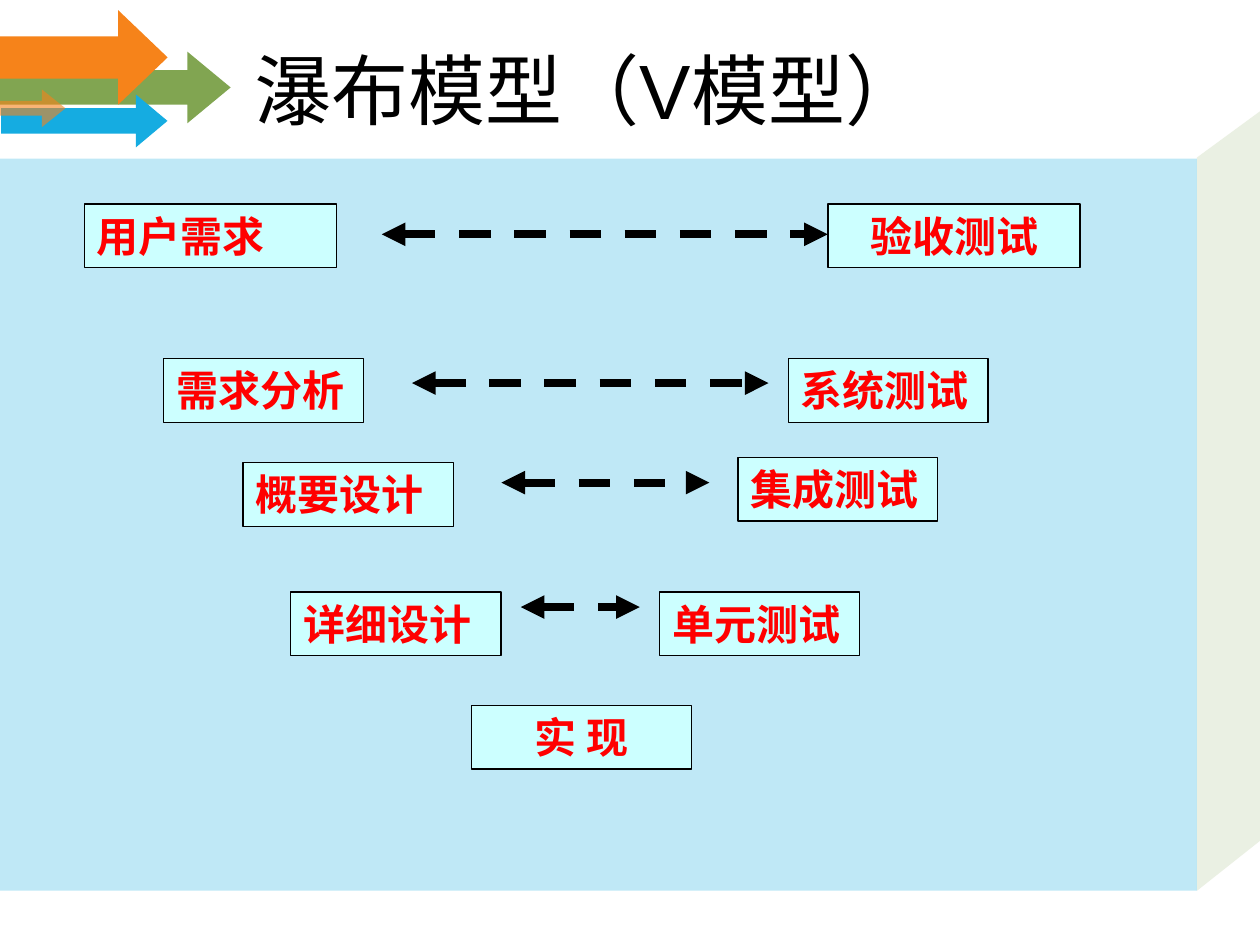
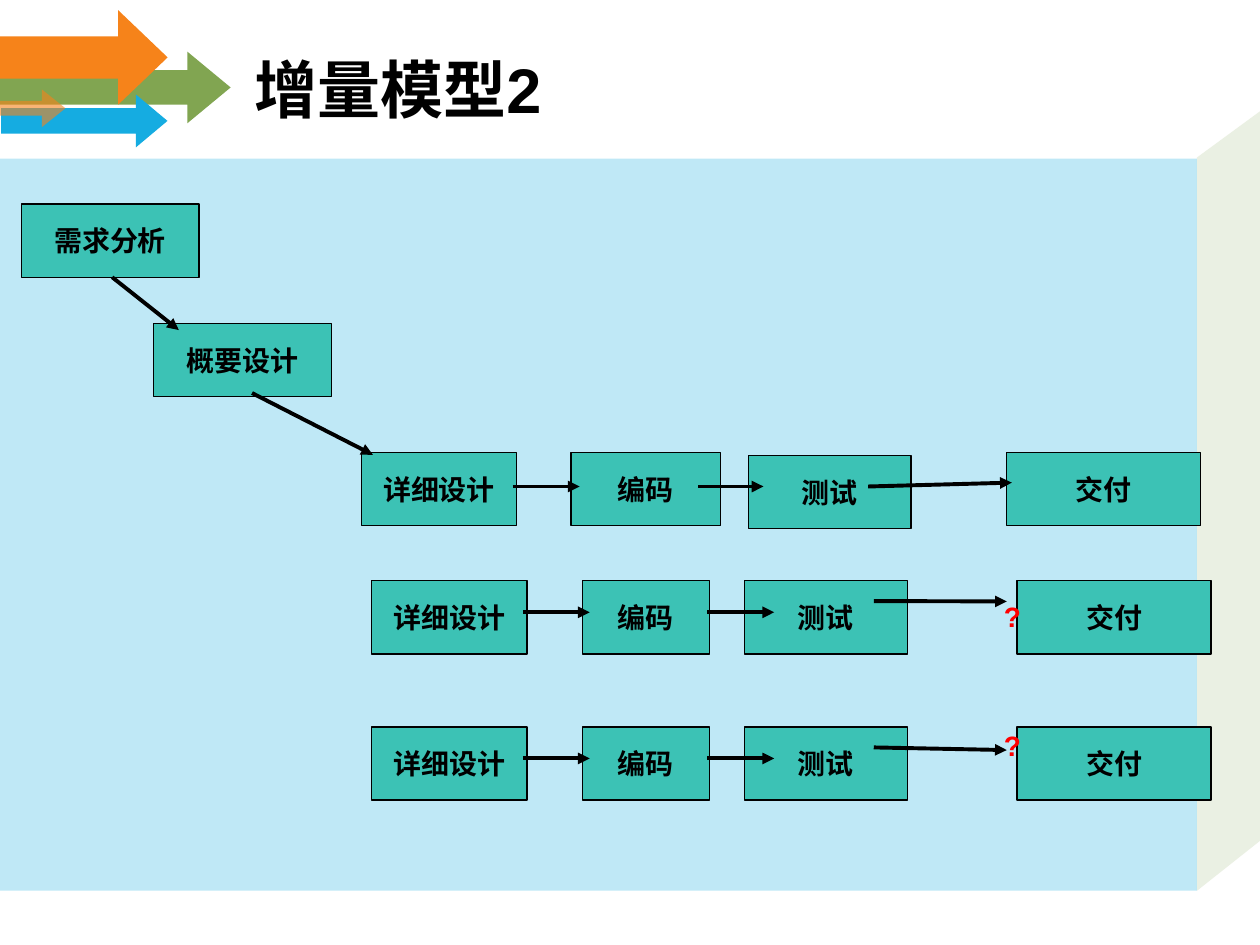
from pptx import Presentation
from pptx.dml.color import RGBColor
from pptx.enum.dml import MSO_LINE
from pptx.enum.shapes import MSO_CONNECTOR, MSO_SHAPE
from pptx.enum.text import MSO_ANCHOR, PP_ALIGN
from pptx.oxml.ns import qn
from pptx.util import Pt
from lxml.etree import SubElement

COLORS = {
    "black": "000000",
    "red": "FF0000",
    "green": "81A551",
    "orange": "F6831A",
    "blue": "15ACE1",
    "pale_cyan": "CCFFFF",
    "teal": "3CC2B5",
}

BAND = (0, 90.7, 684, 418.3)
BAND_SIDE = [(684, 90), (720, 63.6), (720, 480.5), (684, 509)]
CORNER_ARROWS = [
    ((0, 29.5, 131.8, 41), (0.479, 0.604), "green", 100),
    ((0, 5.8, 95.8, 54), (0.447, 0.523), "orange", 100),
    ((0.7, 54, 95, 30.2), (0.479, 0.597), "blue", 100),
    ((0, 51.1, 37.4, 21.6), (0.389, 0.624), "orange", 60),
]
TITLE_AREA = (138.2, 7.9, 540, 85)

V_TITLE = "瀑布模型（V模型）"
V_BOX_HEIGHT = 36.3
V_BOXES = [
    ("用户需求", 48.2, 116.6, 144, PP_ALIGN.LEFT),
    ("需求分析", 93.6, 205.0, 114, PP_ALIGN.LEFT),
    ("概要设计", 138.8, 264.4, 120.2, PP_ALIGN.LEFT),
    ("详细设计", 166.2, 338.3, 120.2, PP_ALIGN.LEFT),
    ("实 现", 269.3, 403.2, 126, PP_ALIGN.CENTER),
    ("单元测试", 377, 338.3, 114, PP_ALIGN.LEFT),
    ("集成测试", 421.8, 261.5, 114, PP_ALIGN.LEFT),
    ("系统测试", 450.6, 205.0, 114, PP_ALIGN.LEFT),
    ("验收测试", 473.2, 116.6, 144, PP_ALIGN.CENTER),
]
V_LINKS = [
    (218.2, 473, 133.9),
    (235.4, 439.2, 218.9),
    (286.5, 405.4, 275.8),
    (297.6, 365.6, 346.9),
]

INCREMENT_TITLE = "增量模型2"
STEP_HEIGHT = 41.8
OPENING_STEPS = [
    ("需求分析", 12.2, 116.6, 101.5),
    ("概要设计", 87.8, 185.0, 101.5),
]
OPENING_ARROWS = [(64.1, 158.4, 102.2, 188.6), (144, 224.6, 213.1, 259.9)]
STEPS = ["详细设计", "编码", "测试", "交付"]
FIRST_COLUMNS = [(206.6, 88.6), (326.2, 85.7), (427.7, 92.9), (575.3, 110.9)]
LATER_COLUMNS = [(212.5, 88.6), (332.8, 72.5), (425.3, 93.2), (581.2, 110.9)]
FIRST_SPANS = [(293, 331.2), (398.9, 436.3), (496.1, 578.2)]
LATER_SPANS = [(298.8, 337), (404.3, 442.4), (499.3, 575.3)]
INCREMENTS = [
    (258.5, FIRST_COLUMNS, FIRST_SPANS, [(19.5, 19.5), (19.5, 19.5), (19.5, 17.3)], 1.7),
    (331.9, LATER_COLUMNS, LATER_SPANS, [(18, 18), (18, 18), (11.6, 11.8)], 0),
    (415.4, LATER_COLUMNS, LATER_SPANS, [(18, 18), (18, 18), (11.7, 13.2)], 0),
]
QUESTION_TOPS = [332.6, 406.1]


def points(*values):
    return [Pt(value) for value in values]


def color(name):
    return RGBColor.from_string(COLORS[name])


def paint(shape, fill_name, opacity=100, outlined=False):
    shape.shadow.inherit = False
    shape.fill.solid()
    shape.fill.fore_color.rgb = color(fill_name)
    if opacity < 100:
        tint = shape.element.spPr.find(".//" + qn("a:srgbClr"))
        SubElement(tint, qn("a:alpha"), val=str(opacity * 1000))
    if outlined:
        shape.line.color.rgb = color("black")
        shape.line.width = Pt(0.75)
    else:
        shape.line.fill.background()


def write(shape, text, size, font, ink, bold=True, align=PP_ALIGN.CENTER,
          anchor=MSO_ANCHOR.MIDDLE, wrap=False):
    frame = shape.text_frame
    frame.text = text
    frame.word_wrap = wrap
    frame.vertical_anchor = anchor
    para = frame.paragraphs[0]
    para.alignment = align
    for span in para.runs:
        span.font.size = Pt(size)
        span.font.name = font
        span.font.bold = bold
        span.font.color.rgb = color(ink)


def add_page(deck, title, size, bold):
    page = deck.slides.add_slide(deck.slide_layouts[5])
    builder = page.shapes.build_freeform(*points(*BAND_SIDE[0]), scale=1.0)
    builder.add_line_segments([points(*corner) for corner in BAND_SIDE[1:]])
    paint(builder.convert_to_shape(), "green", 16)
    band = page.shapes.add_shape(MSO_SHAPE.RECTANGLE, *points(*BAND))
    paint(band, "blue", 27)
    for area, adjustments, fill_name, opacity in CORNER_ARROWS:
        arrow = page.shapes.add_shape(MSO_SHAPE.RIGHT_ARROW, *points(*area))
        for index, value in enumerate(adjustments):
            arrow.adjustments[index] = value
        paint(arrow, fill_name, opacity)
    heading = page.shapes.title
    heading.left, heading.top, heading.width, heading.height = points(*TITLE_AREA)
    write(heading, title, size, "Arial", "black", bold, PP_ALIGN.LEFT, wrap=True)
    return page


def add_box(page, area, fill_name):
    box = page.shapes.add_shape(MSO_SHAPE.RECTANGLE, *points(*area))
    paint(box, fill_name, outlined=True)
    return box


def add_step(page, text, left, top, width):
    box = add_box(page, (left, top, width, STEP_HEIGHT), "teal")
    write(box, text, 16, "Arial", "black")


def add_arrow(page, ends, width, dashed=False, tips=("tailEnd",)):
    arrow = page.shapes.add_connector(MSO_CONNECTOR.STRAIGHT, *points(*ends))
    arrow.line.color.rgb = color("black")
    arrow.line.width = Pt(width)
    if dashed:
        arrow.line.dash_style = MSO_LINE.DASH
    properties = arrow.element.spPr
    for tip in tips:
        SubElement(properties.find(qn("a:ln")), qn("a:" + tip), type="triangle")
    SubElement(properties, qn("a:effectLst"))


def build_v_model(deck):
    page = add_page(deck, V_TITLE, 44, False)
    for text, left, top, width, align in V_BOXES:
        box = add_box(page, (left, top, width, V_BOX_HEIGHT), "pale_cyan")
        write(box, text, 24, "Times New Roman", "red", align=align,
              anchor=MSO_ANCHOR.TOP, wrap=True)
    for start, end, level in V_LINKS:
        add_arrow(page, (start, level, end, level), 4.5, True, ("headEnd", "tailEnd"))


def build_increment_model(deck):
    page = add_page(deck, INCREMENT_TITLE, 36, True)
    for step in OPENING_STEPS:
        add_step(page, *step)
    for top, columns, spans, drops, test_drop in INCREMENTS:
        for text, (left, width) in zip(STEPS, columns):
            add_step(page, text, left, top + (test_drop if text == "测试" else 0), width)
        for (start, end), (start_drop, end_drop) in zip(spans, drops):
            add_arrow(page, (start, top + start_drop, end, top + end_drop), 2.25)
    for ends in OPENING_ARROWS:
        add_arrow(page, ends, 2.25)
    for top in QUESTION_TOPS:
        mark = page.shapes.add_textbox(*points(547.2, top, 62.6, 39.6))
        write(mark, "?", 16, "Arial", "red")


def main():
    deck = Presentation()
    deck.slide_width, deck.slide_height = points(720, 540)
    build_v_model(deck)
    build_increment_model(deck)
    deck.save("out.pptx")


if __name__ == "__main__":
    main()
